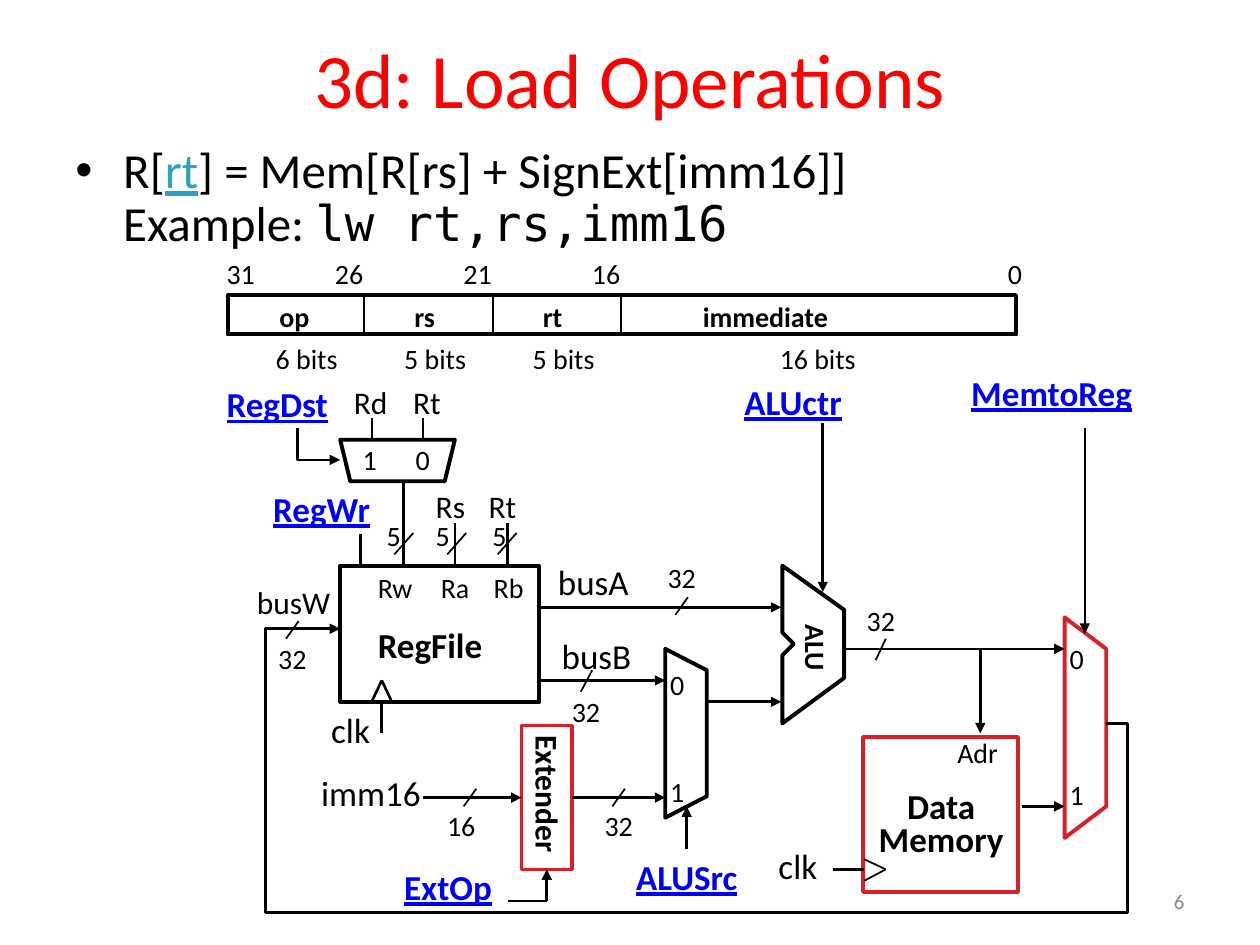
import pptx
import pptx.dml.color
import pptx.enum.shapes
import pptx.enum.text
import pptx.oxml
import pptx.oxml.ns
import pptx.util
from pptx.util import Inches

BLACK, BLUE, RED = "000000", "0000FF", "DA1F28"
TITLE = "3d: Load Operations"
BODY = [("R[", BLACK, "Calibri"), ("rt", "2DA2BF", "Calibri"),
        ("] = Mem[R[rs] + SignExt[imm16]]\vExample: ", BLACK, "Calibri"),
        ("lw rt,rs,imm16", BLACK, "DejaVu Sans Mono")]

FIELD_EDGES = [1.8, 2.89, 3.91, 4.93, 8.07]
FIELDS = [("op", 2.12, 0.44), ("rs", 3.19, 0.37), ("rt", 4.21, 0.37), ("immediate", 5.48, 1.21)]
BIT_NUMBERS = [("31", 1.7, 0.43), ("26", 2.56, 0.43), ("21", 3.58, 0.43),
               ("16", 4.6, 0.43), ("0", 7.9, 0.31)]
FIELD_SIZES = [("6 bits", 2.09, 0.7), ("5 bits", 3.11, 0.7), ("5 bits", 4.13, 0.7),
               ("16 bits", 6.09, 0.81)]

CONTROLS = [("ALUctr", 5.81, 2.97, 1.14), ("RegWr", 2.07, 3.82, 0.99),
            ("RegDst", 1.7, 2.99, 1.03), ("ALUSrc", 4.95, 6.74, 1.04),
            ("ExtOp", 3.11, 6.82, 0.9), ("MemtoReg", 7.61, 2.9, 1.49)]
SIGNALS = [("clk", 2.53, 5.57, 0.51), ("clk", 6.08, 6.65, 0.51), ("busA", 4.33, 4.4, 0.78),
           ("busB", 4.36, 4.99, 0.77), ("imm16", 2.45, 6.07, 1)]
REGISTERS = [("busW", 1.94, 4.58, 0.79), ("Rs", 3.36, 3.82, 0.44), ("Rt", 3.78, 3.82, 0.43),
             ("Rd", 2.71, 2.99, 0.47), ("Rt", 3.18, 2.99, 0.43)]
PORTS = [("Rw", 2.9, 4.48, 0.48), ("Ra", 3.4, 4.48, 0.44), ("Rb", 3.82, 4.48, 0.46),
         ("Adr", 7.5, 5.79, 0.54)]
BUS_WIDTHS = [("32", 6.78, 4.74, 0.43), ("32", 2.11, 5.04, 0.43), ("32", 5.2, 4.4, 0.43),
              ("32", 4.44, 5.46, 0.43), ("32", 4.7, 6.37, 0.43), ("16", 3.45, 6.37, 0.43),
              ("5", 2.97, 4.07, 0.31), ("5", 3.36, 4.07, 0.31), ("5", 3.81, 4.07, 0.31)]
MUX_INPUTS = [("1", 2.78, 3.46, 0.31), ("0", 3.2, 3.46, 0.31), ("0", 5.22, 5.25, 0.31),
              ("1", 5.22, 6.1, 0.31), ("0", 8.39, 5.04, 0.31), ("1", 8.39, 6.12, 0.31)]

OUTLINES = [
    ([(2.7, 3.49), (2.78, 3.82), (3.53, 3.82), (3.61, 3.49)], BLACK),
    ([(5.28, 5.15), (5.28, 6.49), (5.61, 6.32), (5.61, 5.32)], BLACK),
    ([(6.21, 4.49), (6.21, 5.02), (6.3, 5.11), (6.21, 5.2), (6.21, 5.74), (6.7, 5.38),
      (6.7, 4.84)], BLACK),
    ([(8.45, 4.9), (8.45, 6.65), (8.78, 6.4), (8.78, 5.15)], RED),
]
BENT_ARROWS = [
    [(2.36, 3.4), (2.36, 3.65), (2.7, 3.65)],
    [(8.78, 5.74), (8.95, 5.74), (8.95, 7.24), (2.11, 7.24), (2.11, 4.99), (2.7, 4.99)],
]
ARROWS = [(8.61, 3.4, 8.61, 5.03), (4.28, 4.82, 6.2, 4.82), (6.53, 3.36, 6.53, 4.7),
          (4.28, 5.4, 5.28, 5.4), (5.61, 5.57, 6.2, 5.57), (5.45, 6.74, 5.45, 6.4),
          (6.7, 5.15, 8.45, 5.15), (7.78, 5.15, 7.78, 5.82), (8.11, 6.4, 8.45, 6.4)]
WIRES = [(2.86, 4.24, 2.86, 4.49), (3.2, 3.82, 3.2, 4.49), (3.61, 4.15, 3.61, 4.49),
         (4.03, 4.15, 4.03, 4.49), (3.03, 5.4, 2.95, 5.57), (3.03, 5.4, 3.11, 5.57),
         (3.03, 5.57, 3.03, 5.82), (6.86, 6.9, 6.61, 6.9)]
THIN_WIRES = [(6.86, 6.82, 7.03, 6.9), (7.03, 6.9, 6.86, 6.99), (2.95, 3.32, 2.95, 3.49),
              (3.36, 3.32, 3.36, 3.49), (4.34, 7.15, 4.03, 7.15)]
SLASHES = [(2.27, 4.93, 0.1, 0.14), (5.36, 4.74, 0.1, 0.14), (4.86, 6.26, 0.1, 0.14),
           (3.68, 6.26, 0.1, 0.14), (4.61, 5.32, 0.09, 0.17), (6.95, 5.07, 0.08, 0.17),
           (3.13, 4.23, 0.15, 0.17), (3.55, 4.23, 0.15, 0.17), (3.95, 4.23, 0.15, 0.17)]
EXTENDER_Y = 6.33

prs = pptx.Presentation()
prs.slide_width, prs.slide_height = Inches(10), Inches(7.5)
s = prs.slides.add_slide(prs.slide_layouts[5])


def rgb(value):
    return pptx.dml.color.RGBColor.from_string(value)


def style(r, size, color=BLACK, bold=False, underline=False, font="Calibri"):
    r.font.size, r.font.name = pptx.util.Pt(size), font
    r.font.bold, r.font.underline = bold, underline
    r.font.color.rgb = rgb(color)


def place(sp, *box):
    sp.left, sp.top, sp.width, sp.height = map(Inches, box)


def label(text, x, y, w, size=16, color=BLACK, bold=False, underline=False, rotation=0,
          height=None):
    h = height or {16: 0.37, 18: 0.4, 20: 0.43}[size]
    sp = s.shapes.add_textbox(*map(Inches, (x, y, w, h)))
    sp.rotation = rotation
    tf = sp.text_frame
    tf.word_wrap = False
    tf.auto_size = pptx.enum.text.MSO_AUTO_SIZE.SHAPE_TO_FIT_TEXT
    tf.text = text
    for p in tf.paragraphs:
        style(p.runs[0], size, color, bold, underline)
    return sp


def outline(sp, color, width):
    sp.shadow.inherit = False
    sp.fill.background()
    sp.line.color.rgb = rgb(color)
    sp.line.width = pptx.util.Pt(width)


def rect(x, y, w, h, color=BLACK, width=2.25):
    sp = s.shapes.add_shape(pptx.enum.shapes.MSO_SHAPE.RECTANGLE, *map(Inches, (x, y, w, h)))
    outline(sp, color, width)
    return sp


def add_arrowhead(sp):
    ln = sp.line._get_or_add_ln()
    ln.append(pptx.oxml.parse_xml('<a:tailEnd %s type="triangle"/>' % pptx.oxml.ns.nsdecls("a")))


def polyline(points, color, width, close):
    points = [tuple(map(Inches, point)) for point in points]
    builder = s.shapes.build_freeform(*points[0], scale=1.0)
    builder.add_line_segments(points[1:], close=close)
    sp = builder.convert_to_shape()
    outline(sp, color, width)
    return sp


def wire(x1, y1, x2, y2, width=1.5, arrow=False):
    sp = s.shapes.add_connector(pptx.enum.shapes.MSO_CONNECTOR.STRAIGHT,
                                *map(Inches, (x1, y1, x2, y2)))
    sp.line.color.rgb = rgb(BLACK)
    sp.line.width = pptx.util.Pt(width)
    if arrow:
        add_arrowhead(sp)
    sp._element.spPr.append(
        pptx.oxml.parse_xml("<a:effectLst %s/>" % pptx.oxml.ns.nsdecls("a")))
    return sp


title = s.shapes.title
place(title, 0.5, -0.01, 9, 1.25)
title.text_frame.text = TITLE
style(title.text_frame.paragraphs[0].runs[0], 44, "FF0000")

body = s.shapes.add_textbox(*map(Inches, (0.5, 1.11, 9, 0.95)))
body.text_frame.word_wrap = True
p = body.text_frame.paragraphs[0]
p.text = "".join(text for text, _, _ in BODY[:1])
style(p.runs[0], 28)
for text, color, font in BODY[1:]:
    for i, line in enumerate(text.split("\v")):
        if i:
            p.add_line_break()
        r = p.add_run()
        r.text = line
        style(r, 28, color, underline=color != BLACK, font=font)
p.line_spacing = 0.9
pPr = p._p.get_or_add_pPr()
pPr.set("marL", str(Inches(0.38)))
pPr.set("indent", str(-Inches(0.38)))
for xml in ('<a:buFont %s typeface="Arial"/>', '<a:buChar %s char="•"/>'):
    pPr.append(pptx.oxml.parse_xml(xml % pptx.oxml.ns.nsdecls("a")))

rect(1.81, 2.34, 6.25, 0.31, width=2)
for left, right in zip(FIELD_EDGES, FIELD_EDGES[1:]):
    rect(left, 2.34, right - left, 0.32, width=1)
for row, y, bold in ((BIT_NUMBERS, 1.99, False), (FIELDS, 2.33, True), (FIELD_SIZES, 2.66, False)):
    for text, x, w in row:
        label(text, x, y, w, bold=bold)

for group, size in ((SIGNALS, 20), (REGISTERS, 18), (PORTS + BUS_WIDTHS + MUX_INPUTS, 16)):
    for item in group:
        label(*item, size=size)
for item in CONTROLS:
    label(*item, size=20, color=BLUE, bold=True, underline=True)

rect(2.7, 4.49, 1.58, 1.08)
label("RegFile", 2.9, 4.9, 1.04, 20, bold=True)
extender = rect(4.14, EXTENDER_Y - 0.57, 0.4, 1.14, RED, 2)
label("Extender", 3.76, 6.13, 1.18, 18, bold=True, rotation=90)
label("ALU", 6.18, 4.97, 0.59, bold=True, rotation=90)
rect(6.85, 5.85, 1.23, 1.23, RED)
memory = label("Data\nMemory", 6.87, 6.24, 1.2, 20, bold=True, height=0.65)
for p in memory.text_frame.paragraphs:
    p.alignment = pptx.enum.text.PP_ALIGN.CENTER
    p.line_spacing = 0.8

for points, color in OUTLINES:
    polyline(points, color, 2.25, True)
for points in BENT_ARROWS:
    add_arrowhead(polyline(points, BLACK, 1.5, False))
for ends in ARROWS:
    wire(*ends, arrow=True)
for ends in WIRES:
    wire(*ends)
for ends in THIN_WIRES:
    wire(*ends, width=1)
for x, y, w, h in SLASHES:
    wire(x, y + h, x + w, y, width=1)
wire(3.36, EXTENDER_Y, 4.14, EXTENDER_Y, arrow=True).end_connect(extender, 1)
wire(4.54, EXTENDER_Y, 5.28, EXTENDER_Y, arrow=True).begin_connect(extender, 3)
wire(4.34, 7.15, 4.34, 6.9, arrow=True).end_connect(extender, 2)

number = label("6", 7.17, 6.95, 2.33, 16, height=0.4)
number.text_frame.word_wrap = True
number.text_frame.auto_size = pptx.enum.text.MSO_AUTO_SIZE.NONE
number.text_frame.vertical_anchor = pptx.enum.text.MSO_ANCHOR.MIDDLE
number.text_frame.paragraphs[0].alignment = pptx.enum.text.PP_ALIGN.RIGHT
style(number.text_frame.paragraphs[0].runs[0], 12, "898989")

prs.save("out.pptx")
